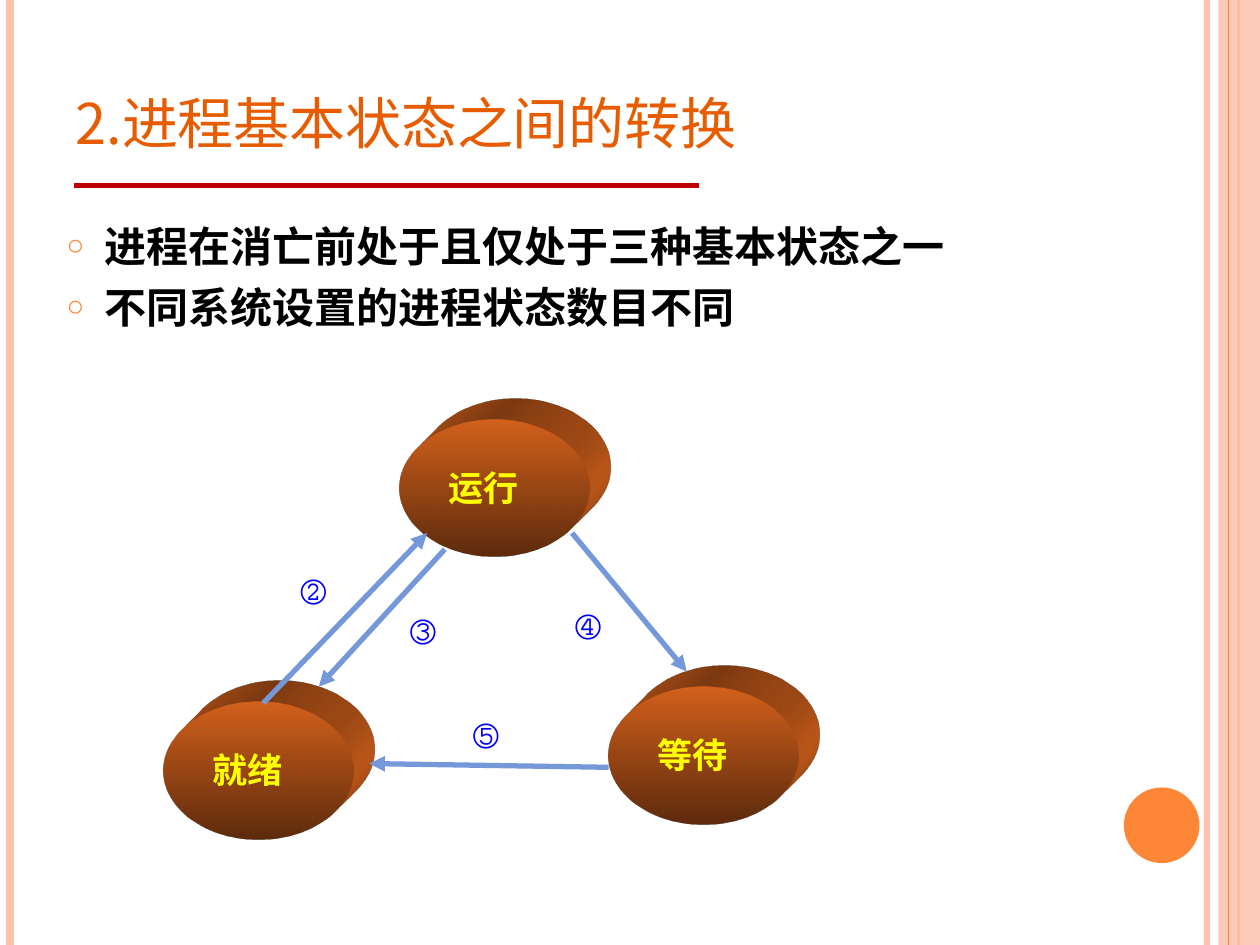
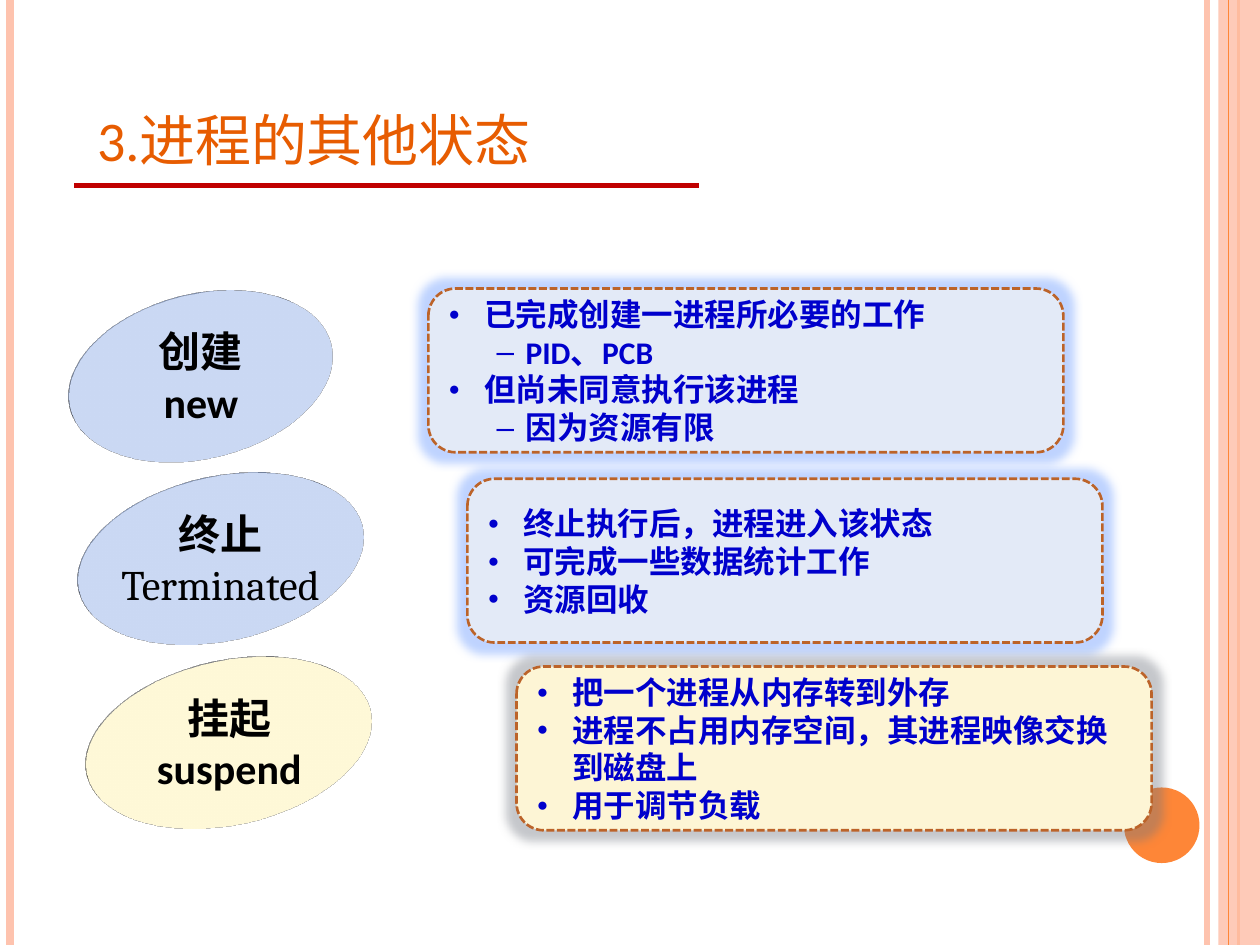
from lxml import etree
from pptx import Presentation
from pptx.dml.color import RGBColor
from pptx.enum.dml import MSO_LINE
from pptx.enum.shapes import MSO_CONNECTOR, MSO_SHAPE
from pptx.enum.text import MSO_ANCHOR, MSO_AUTO_SIZE, PP_ALIGN
from pptx.oxml import parse_xml
from pptx.oxml.ns import qn
from pptx.util import Inches, Pt

STRAIGHT = MSO_CONNECTOR.STRAIGHT
OVAL, RECT = MSO_SHAPE.OVAL, MSO_SHAPE.RECTANGLE
CARD = MSO_SHAPE.FLOWCHART_ALTERNATE_PROCESS
MIDDLE, BOTTOM = MSO_ANCHOR.MIDDLE, MSO_ANCHOR.BOTTOM
LEFT, CENTER = PP_ALIGN.LEFT, PP_ALIGN.CENTER
NO_FIT, DASH = MSO_AUTO_SIZE.NONE, MSO_LINE.SQUARE_DOT

PEACH = RGBColor(0xFE, 0xC3, 0xAE)
ORANGE = RGBColor(0xFE, 0x86, 0x37)
TITLE_ORANGE = RGBColor(0xE7, 0x5C, 0x01)
RULE_RED = RGBColor(0xC0, 0x00, 0x00)
RUST = RGBColor(0xD2, 0x61, 0x1C)
DARK_RUST = RGBColor(0x5E, 0x2B, 0x0D)
YELLOW = RGBColor(0xFF, 0xFF, 0x00)
ARROW_BLUE = RGBColor(0x75, 0x98, 0xD9)
NUMBER_BLUE = RGBColor(0x00, 0x00, 0xFF)
CARD_TEXT = RGBColor(0x00, 0x00, 0xCC)
BLACK = RGBColor(0x00, 0x00, 0x00)
DISC_BLUE = RGBColor(0xC8, 0xD6, 0xF0)
DISC_BLUE_EDGE = RGBColor(0xAC, 0xC1, 0xE8)
DISC_GRAY_EDGE = RGBColor(0xAD, 0xB0, 0xB5)
CARD_BLUE = RGBColor(0xE3, 0xEA, 0xF7)
CREAM = RGBColor(0xFD, 0xF5, 0xD5)
CARD_EDGE = RGBColor(0xBC, 0x63, 0x29)
GLOW_BLUE = RGBColor(0x5F, 0x93, 0xFF)
GLOW_GRAY = RGBColor(0x70, 0x75, 0x7F)

CJK, SANS, SERIF, MONO = "Noto Sans CJK SC", "Calibri", "Cambria", "DejaVu Sans Mono"
A_NS = 'xmlns:a="http://schemas.openxmlformats.org/drawingml/2006/main"'


# Shared helpers
def inches(*lengths):
    return [Inches(length) for length in lengths]


def write(paragraph, text, font=CJK, size=24, color=BLACK, bold=True,
          align=LEFT, small_caps=False, before=0):
    """Put one formatted run in a paragraph."""
    paragraph.alignment = align
    paragraph.space_before = Pt(before)
    run = paragraph.add_run()
    run.text = text
    run.font.name, run.font.size, run.font.bold = font, Pt(size), bold
    run.font.color.rgb = color
    properties = run._r.get_or_add_rPr()
    east_asian = MONO if font == MONO else CJK
    etree.SubElement(properties, qn("a:ea")).set("typeface", east_asian)
    if small_caps:
        properties.set("cap", "small")


def paragraphs(frame, count):
    return [frame.paragraphs[0]] + [frame.add_paragraph() for _ in range(count - 1)]


def set_bullet(paragraph, char, margin, indent, size=100, color=None):
    properties = paragraph._p.get_or_add_pPr()
    properties.set("marL", str(Inches(margin)))
    properties.set("indent", str(Inches(indent)))
    if color is not None:
        tint = etree.SubElement(properties, qn("a:buClr"))
        etree.SubElement(tint, qn("a:srgbClr")).set("val", str(color))
    etree.SubElement(properties, qn("a:buSzPct")).set("val", str(size * 1000))
    etree.SubElement(properties, qn("a:buFont")).set("typeface", "Arial")
    etree.SubElement(properties, qn("a:buChar")).set("char", char)


def set_depth(shape, camera, rig, direction, depth, color):
    """Turn a flat shape into a solid seen by the given camera."""
    properties = shape._element.spPr
    properties.append(parse_xml(
        f'<a:scene3d {A_NS}><a:camera prst="{camera}"/>'
        f'<a:lightRig rig="{rig}" dir="{direction}"/></a:scene3d>'))
    properties.append(parse_xml(
        f'<a:sp3d {A_NS} extrusionH="{depth}" prstMaterial="legacyMatte">'
        f'<a:extrusionClr><a:srgbClr val="{color}"/></a:extrusionClr></a:sp3d>'))


def add_text_box(slide, box, wrap=True):
    frame = slide.shapes.add_textbox(*inches(*box)).text_frame
    frame.word_wrap = wrap
    return frame


def add_shape(slide, kind, box, color):
    shape = slide.shapes.add_shape(kind, *inches(*box))
    shape.shadow.inherit = False
    shape.fill.solid()
    shape.fill.fore_color.rgb = color
    shape.line.fill.background()
    return shape


def add_line(slide, start, end, color, width, arrow=False):
    line = slide.shapes.add_connector(STRAIGHT, *inches(*start, *end))
    line.line.color.rgb, line.line.width = color, Pt(width)
    if arrow:
        etree.SubElement(line.line._get_or_add_ln(), qn("a:tailEnd")).set("type", "triangle")
    etree.SubElement(line._element.spPr, qn("a:effectLst"))


# Side bands, title and rule on every slide
def add_frame(prs, title, box, font):
    slide = prs.slides.add_slide(prs.slide_layouts[5])
    for x, color, width in ((9.58, PEACH, 3), (0.08, PEACH, 4.5), (9.83, ORANGE, 1.5)):
        add_line(slide, (x, 0), (x, 7.5), color, width)
    band = add_shape(slide, RECT, (9.67, 0, 0.33, 7.5), PEACH)
    tint = band._element.spPr.find(".//" + qn("a:srgbClr"))
    etree.SubElement(tint, qn("a:alpha")).set("val", "87000")
    add_line(slide, (9.75, 0), (9.75, 7.5), ORANGE, 0.75)
    add_shape(slide, OVAL, (8.92, 6.25, 0.6, 0.6), ORANGE)
    add_line(slide, (0.59, 1.47), (5.55, 1.47), RULE_RED, 3)

    heading = slide.shapes.title
    heading.left, heading.top, heading.width, heading.height = inches(*box)
    frame = heading.text_frame
    frame.auto_size, frame.vertical_anchor = NO_FIT, BOTTOM
    write(frame.paragraphs[0], title, font=font, size=40, color=TITLE_ORANGE,
          bold=False, small_caps=True)
    return slide


# Slide 1: state diagram
def add_state(slide, name, x, y):
    """An extruded ellipse with its name, from its top left corner."""
    state = add_shape(slide, OVAL, (x, y, 1.51, 1.09), RUST)
    state.fill.gradient()
    state.fill.gradient_angle = 270
    for stop, color in zip(state.fill.gradient_stops, (RUST, DARK_RUST)):
        stop.color.rgb = color
    set_depth(state, "legacyObliqueTopRight", "legacyFlat3", "b", 430200, RUST)
    label = add_text_box(slide, (x + 0.29, y + 0.32, 1.01, 0.5))
    write(label.paragraphs[0], name, size=20, color=YELLOW)


def add_state_diagram(slide, left, top):
    for name, x, y in (("就绪", 0, 2.24), ("运行", 1.87, 0), ("等待", 3.53, 2.12)):
        add_state(slide, name, left + x, top + y)
    # Each transition: number, label corner, arrow start and end
    transitions = (
        ("②", (0.99, 1.05), (0.79, 2.25), (2.09, 0.9)),
        ("③", (1.86, 1.37), (2.23, 1.03), (1.23, 2.12)),
        ("④", (3.17, 1.33), (3.24, 0.9), (4.15, 2)),
        ("⑤", (2.36, 2.2), (3.53, 2.76), (1.63, 2.73)),
    )
    for number, corner, start, end in transitions:
        corner, start, end = [(left + x, top + y) for x, y in (corner, start, end)]
        add_line(slide, start, end, ARROW_BLUE, 3, arrow=True)
        label = add_text_box(slide, (*corner, 0.5, 0.5), wrap=False)
        write(label.paragraphs[0], number, font=MONO, color=NUMBER_BLUE)


def build_transitions_slide(prs):
    slide = add_frame(prs, "2.进程基本状态之间的转换", (0.5, 0.3, 8.17, 1.01), CJK)
    points = ("进程在消亡前处于且仅处于三种基本状态之一", "不同系统设置的进程状态数目不同")
    frame = add_text_box(slide, (0.43, 1.7, 7.92, 1.02))
    for paragraph, point in zip(paragraphs(frame, len(points)), points):
        write(paragraph, point, before=6)
        set_bullet(paragraph, "○", 0.3, -0.3, size=70, color=ORANGE)
    add_state_diagram(slide, 1.3, 3.33)


# Slide 2: other states
def add_disc(slide, box, color, edge):
    """A thin disc turned to the right; returns its text frame."""
    disc = add_shape(slide, OVAL, box, color)
    disc.line.color.rgb, disc.line.width = edge, Pt(2)
    set_depth(disc, "isometricOffAxis1Right", "threePt", "t", 12700, edge)
    frame = disc.text_frame
    frame.word_wrap, frame.vertical_anchor = True, MIDDLE
    return frame


def add_card(slide, x, y, color, glow, points):
    card = add_shape(slide, CARD, (x, y, 5.04, 1.3), color)
    card.line.color.rgb, card.line.width = CARD_EDGE, Pt(1.5)
    card.line.dash_style = DASH
    effects = card._element.spPr.find(qn("a:effectLst"))
    effects.append(parse_xml(
        f'<a:glow {A_NS} rad="139700"><a:srgbClr val="{glow}">'
        '<a:alpha val="40000"/></a:srgbClr></a:glow>'))
    frame = card.text_frame
    frame.word_wrap, frame.vertical_anchor = True, MIDDLE
    for paragraph, (level, point) in zip(paragraphs(frame, len(points)), points):
        write(paragraph, point, font=SANS, size=18, color=CARD_TEXT)
        paragraph.level = level
        set_bullet(paragraph, *(("–", 0.61, -0.23) if level else ("●", 0.28, -0.28, 60)))


def build_other_states_slide(prs):
    slide = add_frame(prs, "3.进程的其他状态", (0.67, 0.44, 8.01, 1), SANS)
    created = add_disc(slide, (0.43, 2.29, 2.33, 1.39), DISC_BLUE, DISC_BLUE_EDGE)
    ended = add_disc(slide, (0.49, 3.74, 2.52, 1.39), DISC_BLUE, DISC_BLUE_EDGE)
    suspended = add_disc(slide, (0.56, 5.2, 2.52, 1.39), CREAM, DISC_GRAY_EDGE)
    for frame, names in ((created, ("创建", "new")), (suspended, ("挂起", "suspend"))):
        for paragraph, name in zip(paragraphs(frame, 2), names):
            write(paragraph, name, font=SANS, align=CENTER)
    write(ended.paragraphs[0], "终止", align=CENTER)
    write(ended.paragraphs[0], "Terminated", font=SERIF, bold=False, align=CENTER)

    add_card(slide, 3.4, 2.29, CARD_BLUE, GLOW_BLUE, (
        (0, "已完成创建一进程所必要的工作"), (1, "PID、PCB"),
        (0, "但尚未同意执行该进程"), (1, "因为资源有限")))
    add_card(slide, 3.71, 3.8, CARD_BLUE, GLOW_BLUE, (
        (0, "终止执行后，进程进入该状态"), (0, "可完成一些数据统计工作"), (0, "资源回收")))
    add_card(slide, 4.1, 5.29, CREAM, GLOW_GRAY, (
        (0, "把一个进程从内存转到外存"),
        (0, "进程不占用内存空间，其进程映像交换到磁盘上"), (0, "用于调节负载")))


def main():
    prs = Presentation()
    prs.slide_width, prs.slide_height = inches(10, 7.5)
    build_transitions_slide(prs)
    build_other_states_slide(prs)
    prs.save("out.pptx")


if __name__ == "__main__":
    main()
